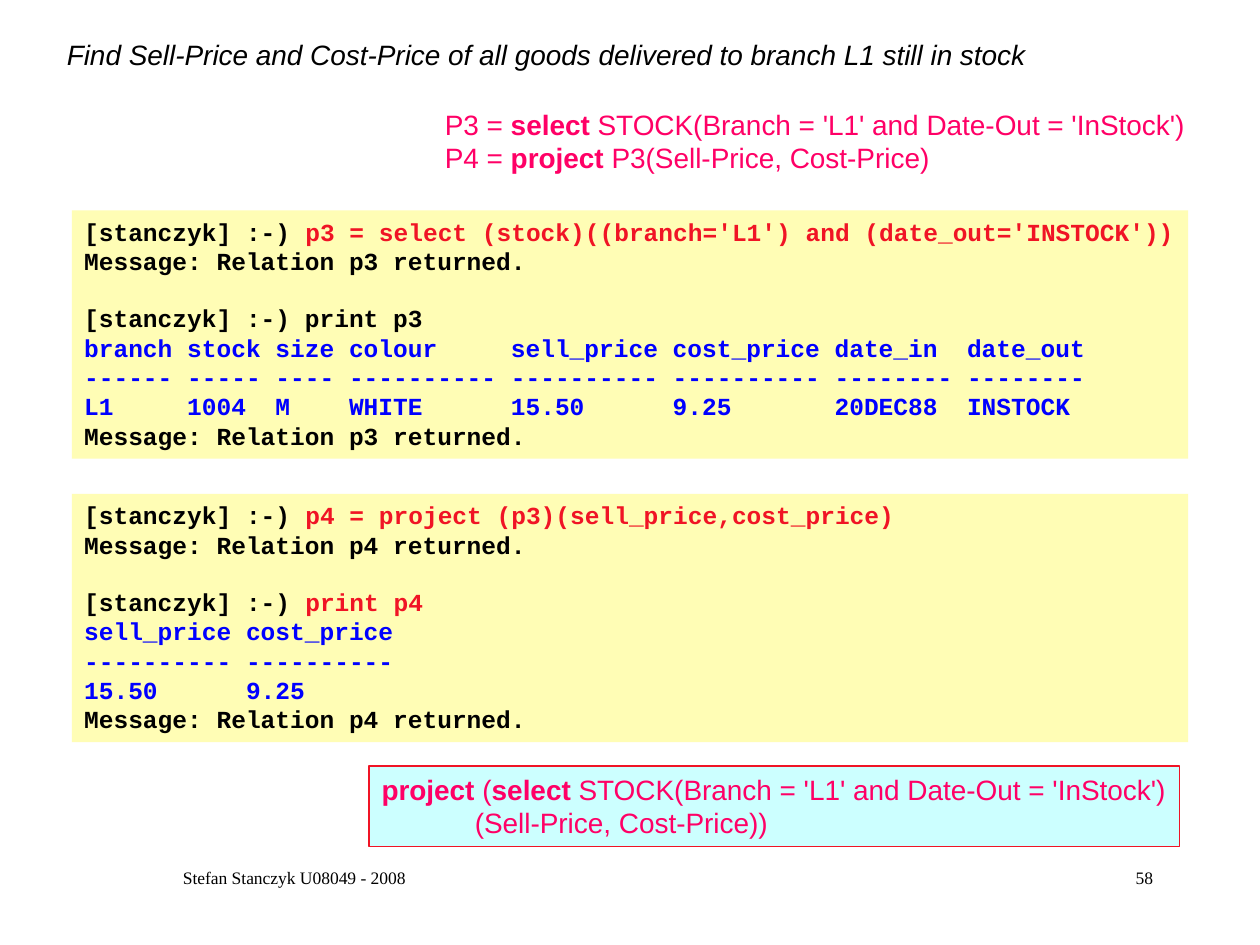
from dataclasses import dataclass, field
from typing import NamedTuple, Optional

from lxml import etree
from pptx import Presentation
from pptx import util as u
from pptx.dml.color import RGBColor
from pptx.enum import shapes, text
from pptx.oxml.ns import qn


@dataclass(frozen=True)
class Theme:
    sans: str = "Arial"
    mono: str = "Courier New"
    serif: str = "Times New Roman"
    body_size: int = 16
    code_size: int = 14
    footer_size: int = 10
    blank_line: float = 15.9  # height of one line of code, in points
    ink: str = "000000"
    formula: str = "FF0066"
    command: str = "F01425"
    output: str = "0000FF"
    console: str = "FFFDB5"
    query: str = "CCFFFF"


class Box(NamedTuple):
    """Place on a grid of 100 columns by 75 rows."""
    col: float
    row: float
    cols: float
    rows: float


class Run(NamedTuple):
    text: str
    color: Optional[str] = None
    bold: Optional[bool] = None


@dataclass(frozen=True)
class Line:
    runs: list
    before: float = 0  # points
    indent: float = 0  # inches


@dataclass(frozen=True)
class Console:
    """One session: a command, then the printed relation."""
    row: float
    relation: str
    command: str
    print_color: str
    columns: dict = field(default_factory=dict)  # heading -> (width, value)


T = Theme()
COLS, ROWS = 100, 75
PROMPT = "[stanczyk] :-) "

prs = Presentation()
prs.slide_width, prs.slide_height = u.Inches(10), u.Inches(7.5)


def place(sp, box: Box):
    dx, dy = prs.slide_width / COLS, prs.slide_height / ROWS
    sp.left, sp.width = int(box.col * dx), int(box.cols * dx)
    sp.top, sp.height = int(box.row * dy), int(box.rows * dy)
    return sp


def write(sp, lines: list, *, font=T.sans, size=T.body_size, color=T.ink,
          bold=False, italic=False, align=text.PP_ALIGN.LEFT, wrap=False):
    tf = sp.text_frame
    tf.word_wrap = wrap
    tf.auto_size = text.MSO_AUTO_SIZE.NONE
    tf.vertical_anchor = text.MSO_ANCHOR.TOP
    for i, line in enumerate(lines):
        p = tf.paragraphs[0] if i == 0 else tf.add_paragraph()
        p.alignment = align
        p.space_before = u.Pt(line.before)
        pPr = p._p.get_or_add_pPr()
        pPr.set("marL", str(u.Inches(line.indent)))
        pPr.set("indent", "0")
        etree.SubElement(pPr, qn("a:buNone"))
        for run in line.runs:
            r = p.add_run()
            r.text = run.text
            f = r.font
            f.name, f.size, f.italic = font, u.Pt(size), italic
            f.bold = bold if run.bold is None else run.bold
            f.color.rgb = RGBColor.from_string(run.color or color)


def panel(s, box: Box, fill: str, line: Optional[str] = None):
    sp = place(s.shapes.add_shape(shapes.MSO_SHAPE.RECTANGLE, 0, 0, 0, 0), box)
    sp.shadow.inherit = False
    sp.fill.solid()
    sp.fill.fore_color.rgb = RGBColor.from_string(fill)
    if line:
        sp.line.color.rgb = RGBColor.from_string(line)
        sp.line.width = u.Pt(0.75)
    else:
        sp.line.fill.background()
    return sp


def draw_console(s, c: Console):
    widths = [width for width, _ in c.columns.values()]
    values = [value for _, value in c.columns.values()]
    table = [c.columns, ["-" * w for w in widths], values]
    rows = [" ".join(cell.ljust(w) for cell, w in zip(row, widths)).rstrip()
            for row in table]
    message = Line([Run(f"Message: Relation {c.relation} returned.")])
    lines = [
        Line([Run(PROMPT), Run(c.command, T.command)]),
        message,
        Line([Run(PROMPT), Run(f"print {c.relation}", c.print_color)],
             before=T.blank_line),
        *[Line([Run(row, T.output)]) for row in rows],
        message,
    ]
    sp = panel(s, Box(5.7, c.row, 88.6, 19.7), T.console)
    write(sp, lines, font=T.mono, size=T.code_size, bold=True)


def draw_footer(s, box: Box, words: str, align):
    sp = place(s.shapes.add_textbox(0, 0, 0, 0), box)
    write(sp, [Line([Run(words)])], font=T.serif, size=T.footer_size,
          align=align, wrap=True)


CONSOLES = [
    Console(16.7, "p3",
            "p3 = select (stock)((branch='L1') and (date_out='INSTOCK'))", T.ink,
            {"branch": (6, "L1"), "stock": (5, "1004"), "size": (4, "M"),
             "colour": (10, "WHITE"), "sell_price": (10, "15.50"),
             "cost_price": (10, "9.25"), "date_in": (8, "20DEC88"),
             "date_out": (8, "INSTOCK")}),
    Console(39.2, "p4", "p4 = project (p3)(sell_price,cost_price)", T.command,
            {"sell_price": (10, "15.50"), "cost_price": (10, "9.25")}),
]
CONDITION = Run(" STOCK(Branch = 'L1' and Date-Out = 'InStock')")
SELECT, PROJECT = Run("select", bold=True), Run("project", bold=True)


def main():
    s = prs.slides.add_slide(prs.slide_layouts[1])
    title, body = s.placeholders

    # Question and its algebra
    write(place(title, Box(4.3, 2.5, 90.8, 4)), [Line([Run(
        "Find Sell-Price and Cost-Price of all goods delivered "
        "to branch L1 still in stock")])], italic=True)
    write(place(body, Box(34.3, 8, 61, 6.2)), [
        Line([Run("P3 = "), SELECT, CONDITION]),
        Line([Run("P4 = "), PROJECT, Run(" P3(Sell-Price, Cost-Price)")]),
    ], color=T.formula)

    # Console sessions
    for console in CONSOLES:
        draw_console(s, console)

    # Nested query
    write(panel(s, Box(29.3, 60.8, 64.3, 6.4), T.query, T.command), [
        Line([PROJECT, Run(" ("), SELECT, CONDITION]),
        Line([Run("(Sell-Price, Cost-Price))")], indent=0.74),
    ], color=T.formula)

    # Footer
    draw_footer(s, Box(7.5, 68.3, 31.7, 5), "Stefan Stanczyk U08049 - 2008",
                text.PP_ALIGN.CENTER)
    draw_footer(s, Box(71.7, 68.3, 20.8, 5), "58", text.PP_ALIGN.RIGHT)

    prs.save("out.pptx")


if __name__ == "__main__":
    main()
